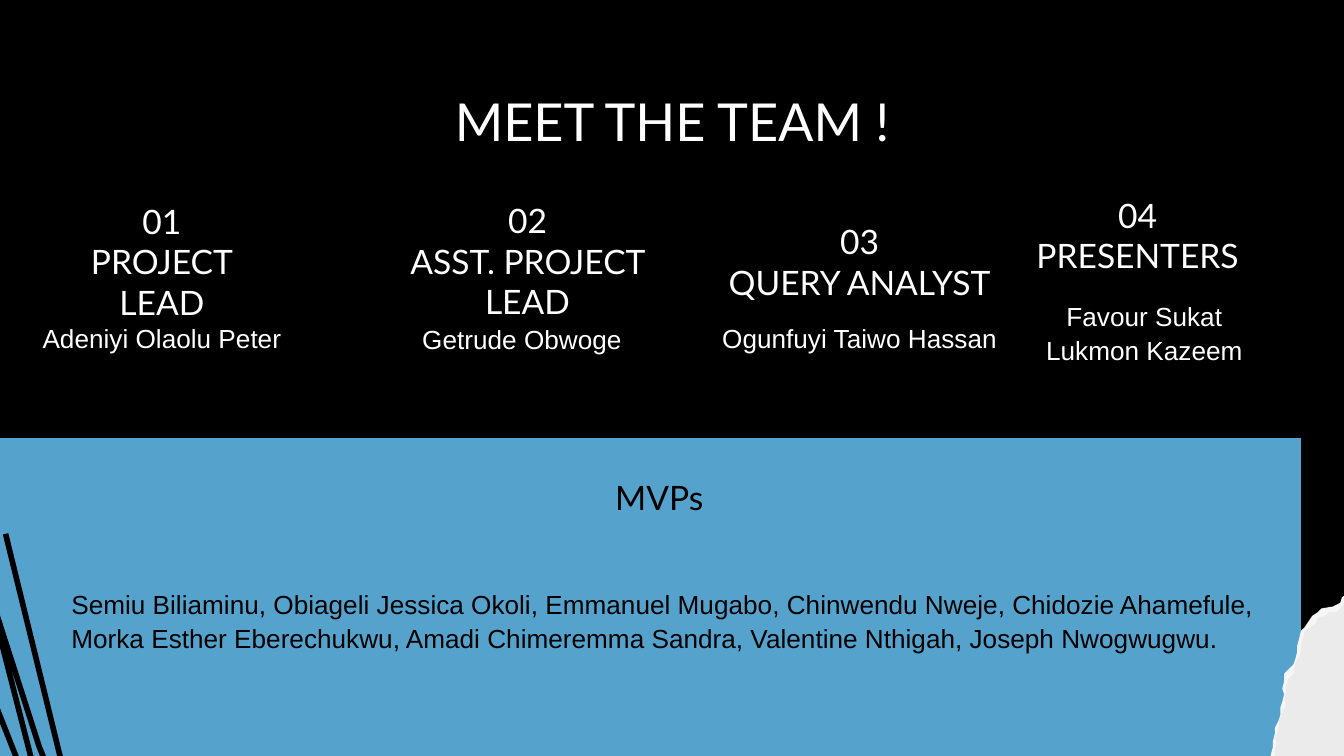
from dataclasses import dataclass

from pptx import Presentation
from pptx.dml.color import RGBColor
from pptx.enum.shapes import MSO_SHAPE
from pptx.enum.text import MSO_ANCHOR as Anchor, MSO_AUTO_SIZE as AutoSize, PP_ALIGN as Align
from pptx.shapes.base import BaseShape
from pptx.util import Pt

BLACK = RGBColor(0x00, 0x00, 0x00)
WHITE = RGBColor(0xFF, 0xFF, 0xFF)
BLUE = RGBColor(0x55, 0xA3, 0xCD)
PAPER_EDGE = RGBColor(0xF6, 0xF6, 0xF6)
PAPER = RGBColor(0xEB, 0xEB, 0xEB)

HEADING_FONT = "Lato"
BODY_FONT = "Arial"
COLUMN_WIDTH = 167.8
NAME_HEIGHT = 31.7

Points = list[tuple[float, float]]


@dataclass
class Box:
    left: float
    top: float
    width: float
    height: float


@dataclass
class Role:
    heading: list[str]
    names: list[str]
    heading_box: Box
    name_left: float
    name_top: float


ROLES = [
    Role(["01", "PROJECT", "LEAD"], ["Adeniyi Olaolu Peter"],
         Box(2.9, 110.2, COLUMN_WIDTH, 59.8), 2.9, 164.9),
    Role(["02", "ASST. PROJECT LEAD"], ["Getrude Obwoge"],
         Box(198.7, 117.4, COLUMN_WIDTH, 44.6), 195.8, 165.2),
    Role(["03", "QUERY ANALYST"], ["Ogunfuyi Taiwo Hassan"],
         Box(376.6, 110.2, COLUMN_WIDTH, 59.8), 376.6, 164.9),
    Role(["04", "PRESENTERS"], ["Favour Sukat", "Lukmon Kazeem"],
         Box(525.6, 110.2, COLUMN_WIDTH, 31.7), 529.2, 162),
]

MVP_NAMES = (
    "Semiu Biliaminu, Obiageli Jessica Okoli, Emmanuel Mugabo, "
    "Chinwendu Nweje, Chidozie Ahamefule, Morka Esther Eberechukwu, "
    "Amadi Chimeremma Sandra, Valentine Nthigah, Joseph Nwogwugwu."
)

SCRIBBLE: Points = [
    (-57, 382), (-12, 467), (-37, 399), (-60, 323), (-29, 395), (-9, 441),
    (3, 467), (-3, 436), (-19, 376), (-37, 302), (-38, 299), (-11, 397),
    (11, 454), (17, 471), (4, 430), (-28, 328), (-35, 300), (-38, 286),
    (-33, 300), (16, 424), (49, 508), (42, 487), (19, 415), (0, 341),
    (-16, 268), (-5, 319), (21, 400), (53, 479), (40, 437), (3, 286),
]

TORN_EDGE: Points = [
    (754, 420), (756, 302), (746, 308), (734, 312), (727, 313), (722, 317.5),
    (719.3, 320.4), (717.8, 323.3), (714.2, 324.7), (708.5, 326.2),
    (705.6, 328.3), (703.4, 330.5), (701.3, 333.4), (699.1, 336.2),
    (697, 338.4), (696.2, 342), (694.8, 345.6), (694.8, 349.2),
    (694.1, 352.8), (692.6, 356.4), (690.5, 358.6), (688.3, 361.4),
    (688.3, 365), (686.9, 368.6), (687.6, 372.2), (686.9, 375.8),
    (686.2, 379.4), (686.2, 383), (684.7, 385.9), (682.6, 389.5),
    (682.6, 393.1), (681.8, 396.7), (681.8, 400.3), (681.1, 403.9), (678, 421),
]

TORN_PAPER: Points = [
    (754, 420), (756, 307), (745, 310), (738, 314), (731, 316), (722.9, 321.8),
    (720, 322.6), (717.8, 326.2), (715.7, 328.3), (712.1, 327.6),
    (709.9, 329.8), (706.3, 331.2), (704.9, 334.1), (702, 335.5),
    (699.1, 338.4), (698.4, 342), (697, 345.6), (697, 349.2),
    (695.5, 352.1), (694.1, 355), (693.4, 358.6), (692.6, 361.4),
    (689.8, 364.3), (689, 367.2), (689, 370.8), (688.3, 374.4),
    (689, 378), (686.9, 380.9), (686.2, 384.5), (685.4, 387.4),
    (685.4, 391), (683.3, 394.6), (684, 398.2), (682.6, 401),
    (682.6, 404.6), (681, 411), (680, 421),
]


def write_text(lines: list[str], *, box: Box, shape: BaseShape | None = None,
               font: str = HEADING_FONT, size: float = 18, color: RGBColor = WHITE,
               align: Align = Align.CENTER, spacing: float = 1.0) -> None:
    """Write lines into the given placeholder, or into a new text box."""
    if shape is None:
        shape = slide.shapes.add_textbox(0, 0, 0, 0)
    shape.left, shape.top = Pt(box.left), Pt(box.top)
    shape.width, shape.height = Pt(box.width), Pt(box.height)
    frame = shape.text_frame
    frame.word_wrap = True
    frame.auto_size = AutoSize.NONE
    frame.vertical_anchor = Anchor.MIDDLE
    frame.margin_left = frame.margin_right = Pt(7.2)
    frame.margin_top = frame.margin_bottom = Pt(7.2)
    frame.text = "\n".join(lines)
    for paragraph in frame.paragraphs:
        paragraph.alignment = align
        paragraph.line_spacing = spacing
        paragraph.space_before = Pt(0)
        paragraph.font.name = font
        paragraph.font.size = Pt(size)
        paragraph.font.color.rgb = color


def draw_outline(points: Points, *, fill: RGBColor | None = None,
                 line: RGBColor | None = None) -> None:
    """Draw a closed filled outline, or an open stroke when there is no fill."""
    builder = slide.shapes.build_freeform(*points[0], scale=Pt(1))
    builder.add_line_segments(points[1:], close=fill is not None)
    shape = builder.convert_to_shape()
    shape.shadow.inherit = False
    if fill is None:
        shape.fill.background()
    else:
        shape.fill.solid()
        shape.fill.fore_color.rgb = fill
    if line is None:
        shape.line.fill.background()
    else:
        shape.line.color.rgb = line
        shape.line.width = Pt(3)


presentation = Presentation()
presentation.slide_width, presentation.slide_height = Pt(720), Pt(405)
slide = presentation.slides.add_slide(presentation.slide_layouts[0])
slide.background.fill.solid()
slide.background.fill.fore_color.rgb = BLACK
title, mvp_list = slide.placeholders

# Blue band, behind the placeholders
band = slide.shapes.add_shape(MSO_SHAPE.RECTANGLE, Pt(-30.2), Pt(234.7), Pt(727.2), Pt(177.1))
band.shadow.inherit = False
band.fill.solid()
band.fill.fore_color.rgb = BLUE
band.line.fill.background()
title.element.addprevious(band.element)

# Title and team roles
write_text(["MEET THE TEAM !"], box=Box(56.2, 42.5, 607.7, 44.6), shape=title, size=28)
for role in ROLES:
    write_text(role.heading, box=role.heading_box)
    write_text(role.names, box=Box(role.name_left, role.name_top, COLUMN_WIDTH, NAME_HEIGHT),
               font=BODY_FONT, size=14, spacing=1.07)

# MVPs
write_text(["MVPs"], box=Box(254.2, 247, 198, 38.2), color=BLACK)
write_text([MVP_NAMES], box=Box(31, 293, 662.4, 78.5), shape=mvp_list, font=BODY_FONT,
           size=14, color=BLACK, align=Align.LEFT, spacing=1.07)

# Scribble and torn paper in the lower corners
draw_outline(SCRIBBLE, line=BLACK)
draw_outline(TORN_EDGE, fill=PAPER_EDGE)
draw_outline(TORN_PAPER, fill=PAPER)

presentation.save("out.pptx")
